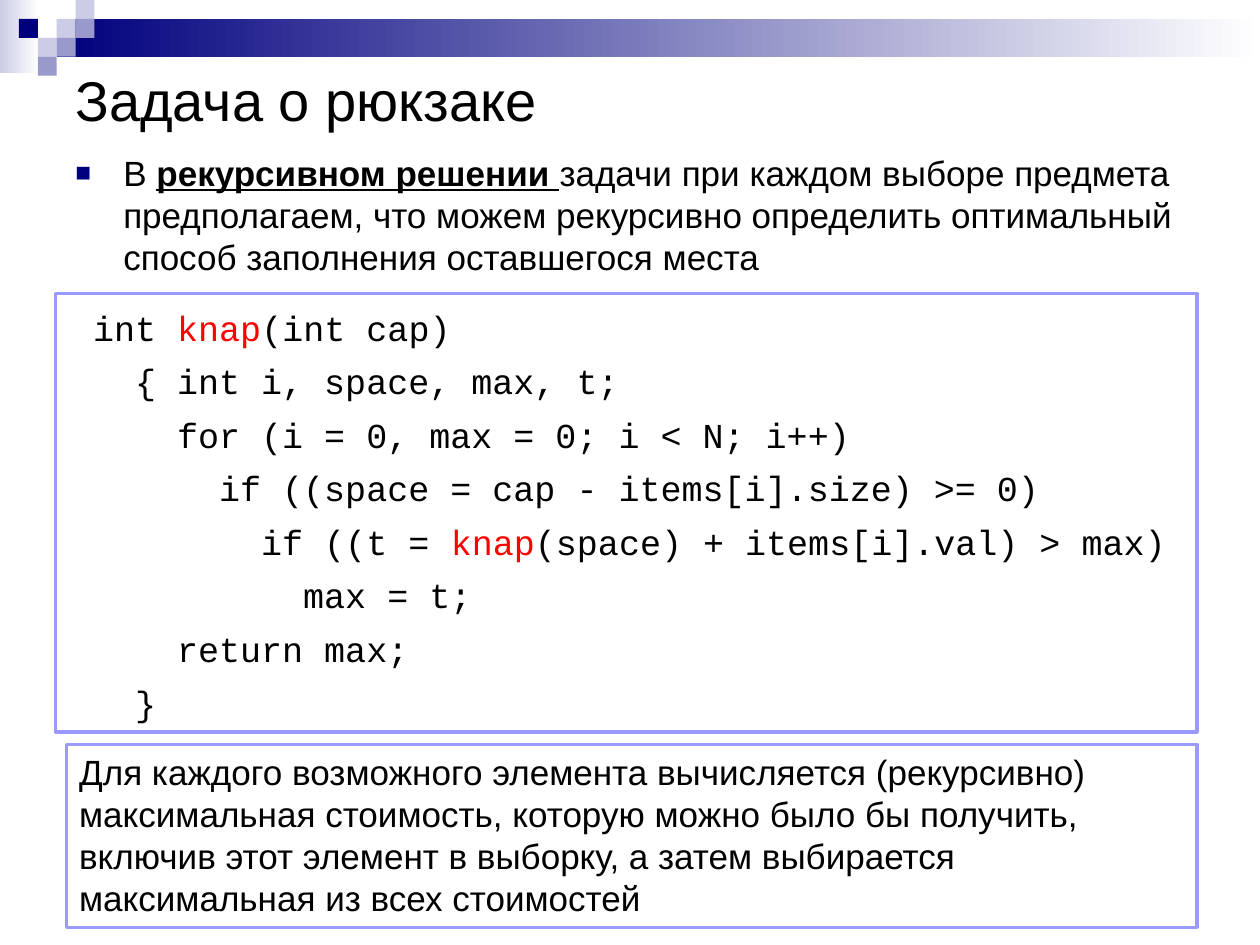
from lxml import etree
from pptx import Presentation
from pptx.dml.color import RGBColor
from pptx.enum.shapes import MSO_SHAPE
from pptx.enum.text import MSO_ANCHOR, PP_ALIGN
from pptx.oxml.ns import qn
from pptx.util import Inches, Pt

RECT = MSO_SHAPE.RECTANGLE
LEFT = PP_ALIGN.LEFT
TOP, MIDDLE = MSO_ANCHOR.TOP, MSO_ANCHOR.MIDDLE
COLORS = {
    "navy": "00007D", "mid": "9999CC", "pale": "CCCCE6", "edge": "9999FF",
    "white": "FFFFFF", "black": "000000", "red": "FF0000",
}
HUES = {name: RGBColor.from_string(code) for name, code in COLORS.items()}

prs = Presentation()
prs.slide_width, prs.slide_height = Inches(10), Inches(7.5)
slide = prs.slides.add_slide(prs.slide_layouts[6])


def add_box(left, top, width, height, fill, line=None):
    box = slide.shapes.add_shape(
        RECT, Inches(left), Inches(top), Inches(width), Inches(height))
    box.shadow.inherit = False
    box.fill.solid()
    box.fill.fore_color.rgb = HUES[fill]
    if line:
        box.line.color.rgb = HUES[line]
        box.line.width = Pt(2)
    else:
        box.line.fill.background()
    box.text_frame.word_wrap = True
    box.text_frame.vertical_anchor = TOP
    return box


def add_run(para, text, size=20, font="Arial", color="black"):
    run = para.add_run()
    run.text = text
    run.font.size = Pt(size)
    run.font.name = font
    run.font.color.rgb = HUES[color]
    para.alignment = LEFT
    return run


for left, top, width, height, hue in [
    (0, 0, 0.31, 0.58, "pale"),
    (0.45, 0.15, 9.55, 0.3, "navy"),
]:
    band = add_box(left, top, width, height, hue)
    band.fill.gradient()
    band.fill.gradient_angle = 0
    for stop, tone, place in zip(band.fill.gradient_stops, (hue, "white"), (0, 1)):
        stop.color.rgb = HUES[tone]
        stop.position = place

side = 0.15
for col, row, hue in [
    (3, 1, "pale"), (4, 0, "pale"), (4, 1, "mid"), (2, 2, "pale"),
    (1, 1, "navy"), (3, 2, "mid"), (2, 3, "mid"),
]:
    add_box(col * side, row * side, side, side, hue)

title = slide.shapes.add_textbox(Inches(0.5), Inches(0.5), Inches(9), Inches(0.57))
title.text_frame.word_wrap = True
title.text_frame.vertical_anchor = MIDDLE
add_run(title.text_frame.paragraphs[0], "Задача о рюкзаке", 32)

intro = slide.shapes.add_textbox(Inches(0.5), Inches(1.15), Inches(9.22), Inches(1.11))
intro.text_frame.word_wrap = True
para = intro.text_frame.paragraphs[0]
para.space_before = Pt(4)
add_run(para, "В ")
key = add_run(para, "рекурсивном решении ")
key.font.bold = key.font.underline = True
add_run(para, "задачи при каждом выборе предмета предполагаем, что можем "
              "рекурсивно определить оптимальный способ заполнения оставшегося места")
props = para._p.get_or_add_pPr()
props.set("marL", str(Inches(0.38)))
props.set("indent", str(-Inches(0.38)))
tint = etree.SubElement(props, qn("a:buClr"))
etree.SubElement(tint, qn("a:srgbClr"), val=COLORS["navy"])
etree.SubElement(props, qn("a:buSzPct"), val="75000")
etree.SubElement(props, qn("a:buFont"), typeface="Arial")
etree.SubElement(props, qn("a:buChar"), char="■")

code = """int knap(int cap)
  { int i, space, max, t;
    for (i = 0, max = 0; i < N; i++)
      if ((space = cap - items[i].size) >= 0)
        if ((t = knap(space) + items[i].val) > max)
          max = t;
    return max;
  }"""
frame = add_box(0.44, 2.33, 9.06, 3.48, "white", "edge").text_frame
for num, line in enumerate(code.split("\n")):
    para = frame.add_paragraph() if num else frame.paragraphs[0]
    para.line_spacing = 1.15
    para.space_before = Pt(3)
    para._p.get_or_add_pPr().set("indent", str(Inches(0.2)))
    head, name, tail = line.partition("knap")
    for part, hue in [(head, "black"), (name, "red"), (tail, "black")]:
        if part:
            add_run(para, part, font="Courier New", color=hue)

note = add_box(0.53, 5.91, 8.97, 1.45, "white", "edge").text_frame
add_run(note.paragraphs[0],
        "Для каждого возможного элемента вычисляется (рекурсивно) максимальная "
        "стоимость, которую можно было бы получить, включив этот элемент в "
        "выборку, а затем выбирается максимальная из всех стоимостей")

prs.save("out.pptx")
